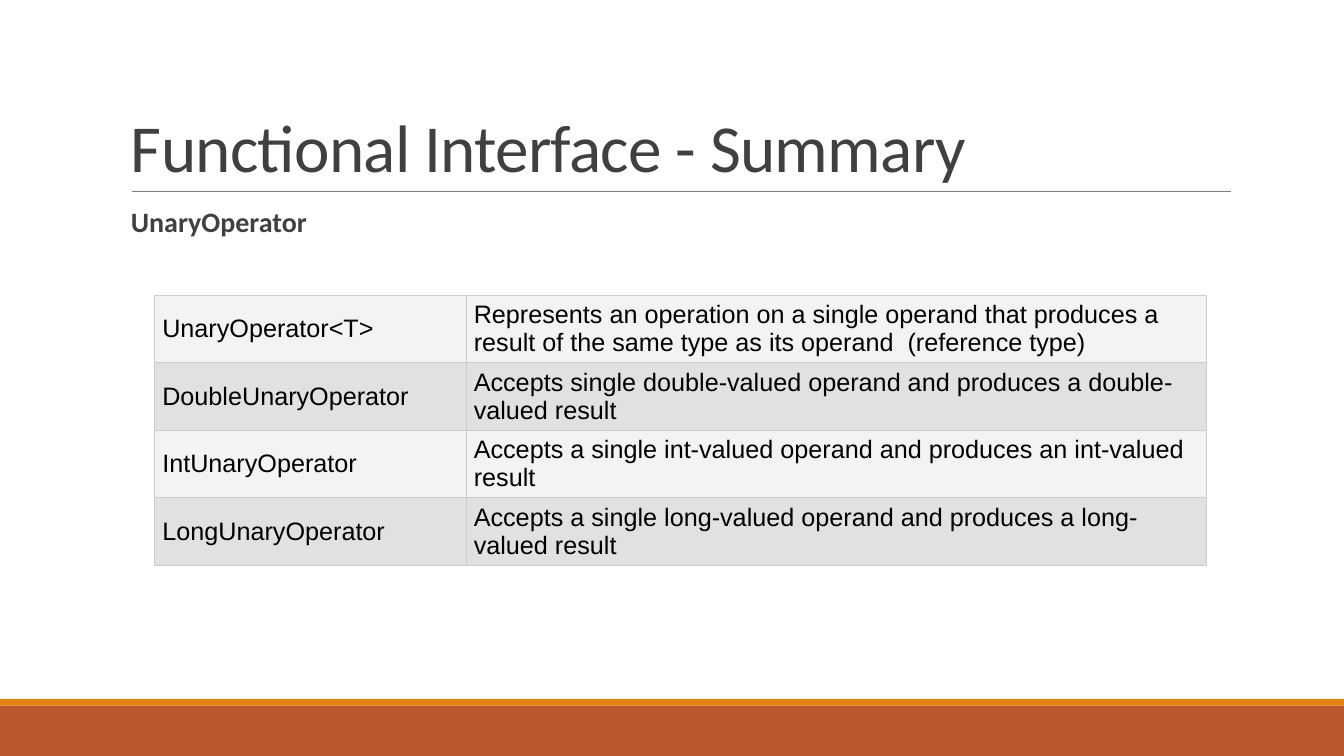
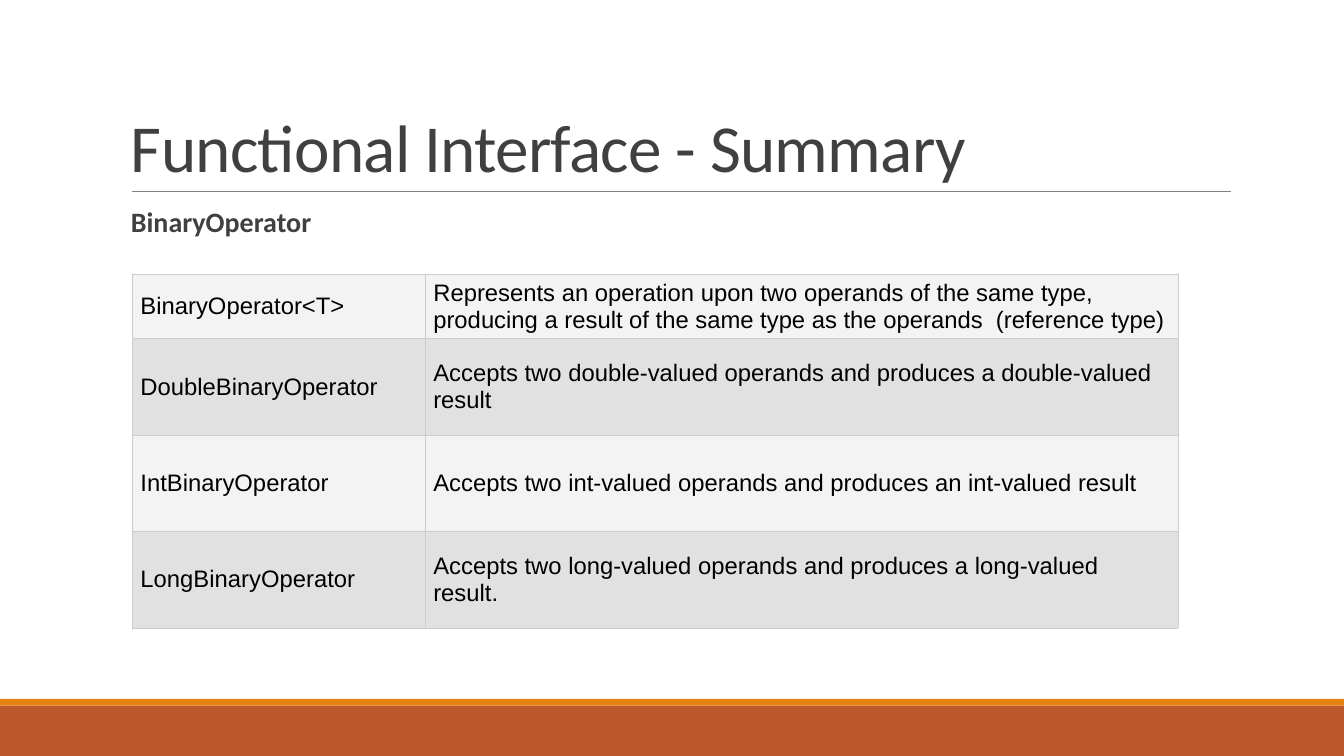
from dataclasses import dataclass

from lxml.etree import SubElement
from pptx import Presentation
from pptx.dml.color import RGBColor as Color
from pptx.enum.shapes import MSO_CONNECTOR as Connector, MSO_SHAPE as Shape
from pptx.enum.text import MSO_ANCHOR as Anchor
from pptx.oxml.ns import qn
from pptx.util import Cm, Pt


@dataclass(frozen=True)
class Theme:
    heading_font: str = "Calibri"
    table_font: str = "Arial"
    title_size: int = 48
    subtitle_size: int = 20
    heading: str = "404040"
    rule: str = "808080"
    band: str = "BD582C"
    stripe: str = "E48312"
    cell_text: str = "000000"
    cell_border: str = "CCCCCC"
    cell_fills: tuple = ("F3F3F3", "E2E1E1")


theme = Theme()
SLIDE_WIDTH = Cm(33.87)
TITLE = "Functional Interface - Summary"

BANDS = [  # top, height, colour
    (17.78, 1.27, theme.band),
    (17.61, 0.17, theme.stripe),
]
HEADING_LEFT, HEADING_WIDTH = Cm(3.05), Cm(27.94)
CELL_FORMAT = {
    "vertical_anchor": Anchor.MIDDLE,
    "margin_left": Cm(0.2),
    "margin_right": Cm(0.2),
    "margin_top": Cm(0.09),
    "margin_bottom": Cm(0.09),
}

SUMMARIES = [
    {
        "subtitle": "UnaryOperator",
        "position": (3.89, 7.43),
        "columns": (7.85, 18.67),
        "row_heights": (1.64, 1.64, 1.64, 1.64),
        "size": 18,
        "rows": [
            ("UnaryOperator<T>",
             "Represents an operation on a single operand that produces a "
             "result of the same type as its operand  (reference type)"),
            ("DoubleUnaryOperator",
             "Accepts single double-valued operand and produces a double-valued result"),
            ("IntUnaryOperator",
             "Accepts a single int-valued operand and produces an int-valued result"),
            ("LongUnaryOperator",
             "Accepts a single long-valued operand and produces a long-valued result"),
        ],
    },
    {
        "subtitle": "BinaryOperator",
        "position": (3.34, 6.91),
        "columns": (7.38, 18.97),
        "row_heights": (1.54, 2.43, 2.43, 2.43),
        "size": 17,
        "rows": [
            ("BinaryOperator<T>",
             "Represents an operation upon two operands of the same type, "
             "producing a result of the same type as the operands  (reference type)"),
            ("DoubleBinaryOperator",
             "Accepts two double-valued operands and produces a double-valued result"),
            ("IntBinaryOperator",
             "Accepts two int-valued operands and produces an int-valued result"),
            ("LongBinaryOperator",
             "Accepts two long-valued operands and produces a long-valued result."),
        ],
    },
]


def write(frame, text, color, **font_format):
    """Fill a text frame with one formatted run and return its paragraph and run."""
    paragraph = frame.paragraphs[0]
    run = paragraph.add_run()
    run.text = text
    run.font.color.rgb = Color.from_string(color)
    for name, value in font_format.items():
        setattr(run.font, name, value)
    return paragraph, run


def format_cell(cell, fill):
    """Set the margins, borders and fill of a table cell."""
    for name, value in CELL_FORMAT.items():
        setattr(cell, name, value)
    properties = cell._tc.get_or_add_tcPr()
    for side in ("a:lnL", "a:lnR", "a:lnT", "a:lnB"):
        border = SubElement(properties, qn(side), w=str(Pt(0.6)))
        solid = SubElement(border, qn("a:solidFill"))
        SubElement(solid, qn("a:srgbClr"), val=theme.cell_border)
    cell.fill.solid()
    cell.fill.fore_color.rgb = Color.from_string(fill)


presentation = Presentation()
presentation.slide_width = SLIDE_WIDTH
presentation.slide_height = Cm(19.05)
blank_layout = presentation.slide_layouts[6]

for summary in SUMMARIES:
    slide = presentation.slides.add_slide(blank_layout)
    shapes = slide.shapes

    for top, height, color in BANDS:
        band = shapes.add_shape(Shape.RECTANGLE, 0, Cm(top), SLIDE_WIDTH, Cm(height))
        band.shadow.inherit = False
        band.fill.solid()
        band.fill.fore_color.rgb = Color.from_string(color)
        band.line.fill.background()

    rule = shapes.add_connector(Connector.STRAIGHT, Cm(3.32), Cm(4.83), Cm(31.02), Cm(4.83))
    rule.line.color.rgb = Color.from_string(theme.rule)
    rule.line.width = Pt(0.5)
    SubElement(rule._element.spPr, qn("a:effectLst"))

    # Title and subtitle
    title = shapes.add_textbox(HEADING_LEFT, Cm(0.79), HEADING_WIDTH, Cm(4.04)).text_frame
    title.word_wrap = True
    title.vertical_anchor = Anchor.BOTTOM
    paragraph, run = write(title, TITLE, theme.heading,
                           name=theme.heading_font, size=Pt(theme.title_size))
    paragraph.line_spacing = 0.85
    run.font._element.set("spc", "-50")

    subtitle = shapes.add_textbox(HEADING_LEFT, Cm(5.13), HEADING_WIDTH, Cm(1.2)).text_frame
    subtitle.word_wrap = True
    paragraph, run = write(subtitle, summary["subtitle"], theme.heading, bold=True,
                           name=theme.heading_font, size=Pt(theme.subtitle_size))
    paragraph.line_spacing = 0.9

    # Table of interfaces
    left, top = summary["position"]
    columns, row_heights = summary["columns"], summary["row_heights"]
    table = shapes.add_table(len(row_heights), len(columns), Cm(left), Cm(top),
                             Cm(sum(columns)), Cm(sum(row_heights))).table
    table.first_row = False
    table.horz_banding = False
    for column, width in zip(table.columns, columns):
        column.width = Cm(width)
    for index, (row, height, texts) in enumerate(zip(table.rows, row_heights, summary["rows"])):
        row.height = Cm(height)
        for cell, text in zip(row.cells, texts):
            format_cell(cell, theme.cell_fills[index % 2])
            write(cell.text_frame, text, theme.cell_text,
                  name=theme.table_font, size=Pt(summary["size"]))

presentation.save("out.pptx")
